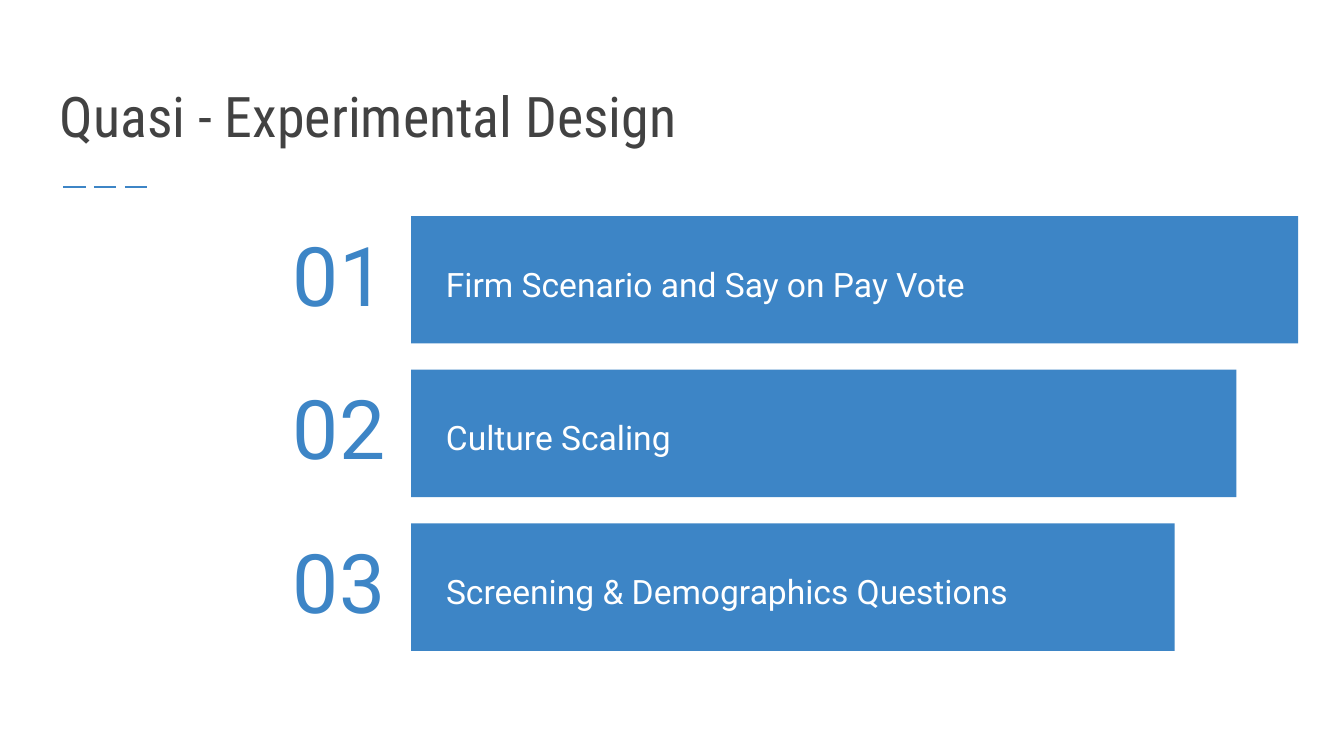
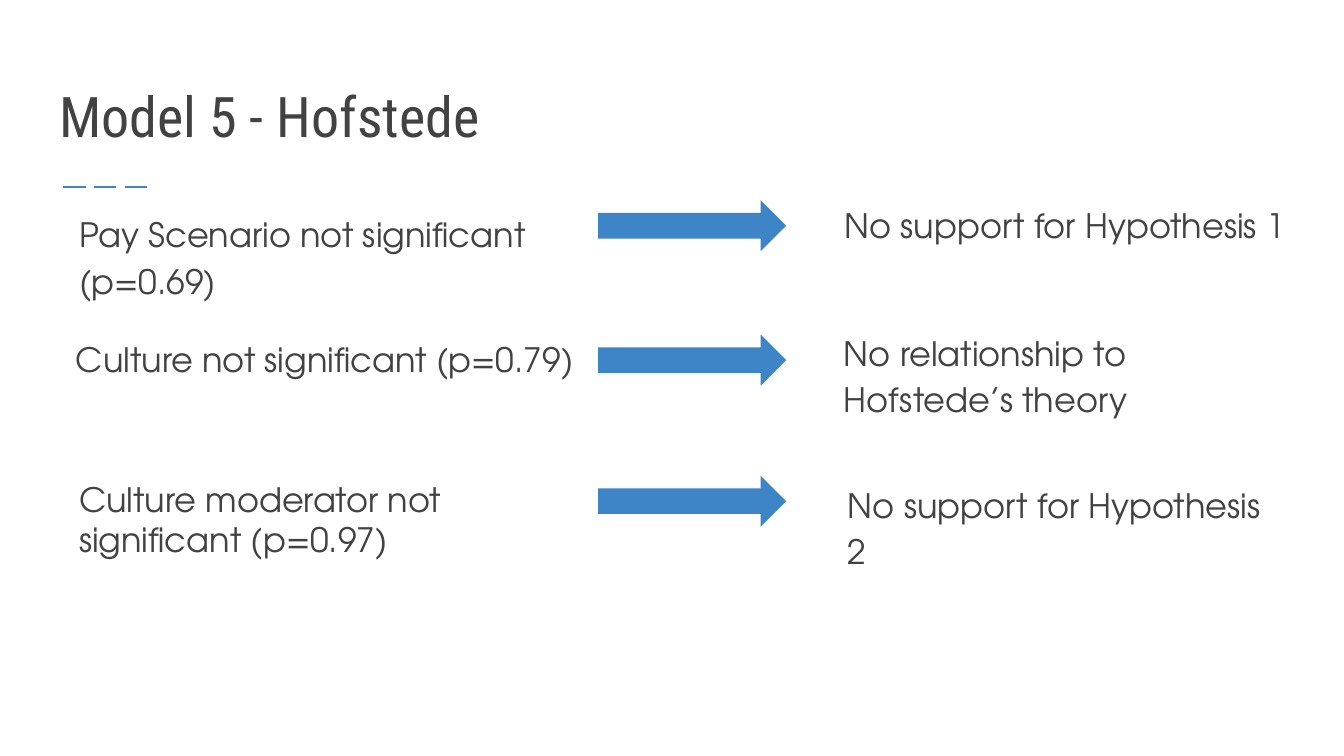
import collections

import lxml.etree
import pptx
import pptx.dml.color
import pptx.enum.dml
import pptx.enum.shapes
import pptx.enum.text
import pptx.oxml.ns
import pptx.util

RGBColor = pptx.dml.color.RGBColor
Align = pptx.enum.text.PP_ALIGN
Anchor = pptx.enum.text.MSO_ANCHOR
Preset = pptx.enum.shapes.MSO_SHAPE

BLUE = RGBColor(0x3D, 0x85, 0xC6)
GREY = RGBColor(0x42, 0x42, 0x42)
WHITE = RGBColor(0xFF, 0xFF, 0xFF)

TITLE_FONT = "Roboto Condensed"
LABEL_FONT = "Roboto"
BODY_FONT = "TeX Gyre Adventor"

# The slide is a grid of 100 columns by 100 rows; boxes are in grid units.
SLIDE_W = pptx.util.Inches(10)
SLIDE_H = SLIDE_W * 9 // 16
Box = collections.namedtuple("Box", "x y w h")


def inside(box, x, y, w, h):
    """Return a box whose corner is offset from the corner of another one."""
    return Box(box.x + x, box.y + y, w, h)


def emu(box):
    return (round(box.x * SLIDE_W / 100), round(box.y * SLIDE_H / 100),
            round(box.w * SLIDE_W / 100), round(box.h * SLIDE_H / 100))


def add_text(s, box, text, font, size, color, align=Align.LEFT,
             anchor=Anchor.TOP, inset=0.1, spacing=1.0):
    tf = s.shapes.add_textbox(*emu(box)).text_frame
    tf.word_wrap = True
    tf.vertical_anchor = anchor
    tf.margin_left = tf.margin_right = pptx.util.Inches(0.1)
    tf.margin_top = tf.margin_bottom = pptx.util.Inches(inset)
    p = tf.paragraphs[0]
    p.alignment = align
    p.line_spacing = spacing
    r = p.add_run()
    r.text = text
    r.font.name = font
    r.font.size = pptx.util.Pt(size)
    r.font.color.rgb = color


def add_solid(s, preset, box):
    sp = s.shapes.add_shape(preset, *emu(box))
    sp.shadow.inherit = False
    sp.fill.solid()
    sp.fill.fore_color.rgb = BLUE
    sp.line.fill.background()


def add_header(s, box, title):
    """Place the title and the dashed rule below it."""
    add_text(s, inside(box, 0, 0, box.w, 14.22), title, TITLE_FONT, 30, GREY,
             anchor=Anchor.BOTTOM)
    x, y, w, _ = emu(inside(box, 1.25, 17.45, 6.7, 0))
    rule = s.shapes.add_connector(
        pptx.enum.shapes.MSO_CONNECTOR.STRAIGHT, x, y, x + w, y)
    rule.line.color.rgb = BLUE
    rule.line.width = pptx.util.Pt(1.5)
    rule.line.dash_style = pptx.enum.dml.MSO_LINE.LONG_DASH
    lxml.etree.SubElement(rule._element.spPr, pptx.oxml.ns.qn("a:effectLst"))


def new_slide(prs, title):
    s = prs.slides.add_slide(prs.slide_layouts[6])
    add_header(s, Box(3.45, 7.29, 93.2, 17.45), title)
    return s


def add_numbered_bar(s, box, number, label):
    """Fill the box with a bar, its number standing to the left."""
    add_text(s, inside(box, -26.35, 1.1, 25.4, 14.58), f"{number:02d}",
             LABEL_FONT, 44, BLUE, Align.RIGHT, Anchor.MIDDLE, 0.05, 0.9)
    add_solid(s, Preset.RECTANGLE, box)
    add_text(s, inside(box, 1.6, 4.75, box.w - 6, 7.64), label,
             LABEL_FONT, 18, WHITE, Align.LEFT, Anchor.MIDDLE, 0.05, 1.15)


def build_design_slide(prs):
    s = new_slide(prs, "Quasi - Experimental Design")
    labels = ["Firm Scenario and Say on Pay Vote", "Culture Scaling",
              "Screening & Demographics Questions"]
    row_pitch, width_step = 20.33, 4.6
    for i, label in enumerate(labels):
        bar = Box(30.6, 28.58 + i * row_pitch, 66 - i * width_step, 16.85)
        add_numbered_bar(s, bar, i + 1, label)


def add_finding(s, arrow, result, result_box, meaning, meaning_box, spacing):
    """Place an arrow with a result before it and its meaning after it."""
    add_solid(s, Preset.RIGHT_ARROW, arrow)
    add_text(s, inside(arrow, *result_box), result, BODY_FONT, 18, GREY,
             spacing=spacing)
    add_text(s, inside(arrow, *meaning_box), meaning, BODY_FONT, 18, GREY,
             spacing=1.15)


def build_model_slide(prs):
    s = new_slide(prs, "Model 5 - Hofstede")
    # arrow row, then each text with its box measured from the arrow
    findings = [
        (26.49, "Pay Scenario not significant (p=0.69)",
         (-39.6, -0.71, 36.3, 12.27),
         "No support for Hypothesis 1", (17.35, -1.9, 35.1, 10.49), 1.15),
        (44.27, "Culture not significant (p=0.79)",
         (-39.85, -1.96, 39.2, 10.49),
         "No relationship to Hofstede’s theory",
         (17.3, -2.84, 27.5, 12.44), 1.15),
        (62.93, "Culture moderator not significant (p=0.97)",
         (-39.6, -1.42, 29.7, 12.44),
         "No support for Hypothesis 2", (17.6, -1.42, 34.5, 9.6), 1.0),
    ]
    for row, *parts in findings:
        add_finding(s, Box(44.5, row, 14, 6.76), *parts)


def main():
    prs = pptx.Presentation()
    prs.slide_width, prs.slide_height = SLIDE_W, SLIDE_H
    build_design_slide(prs)
    build_model_slide(prs)
    prs.save("out.pptx")


if __name__ == "__main__":
    main()
